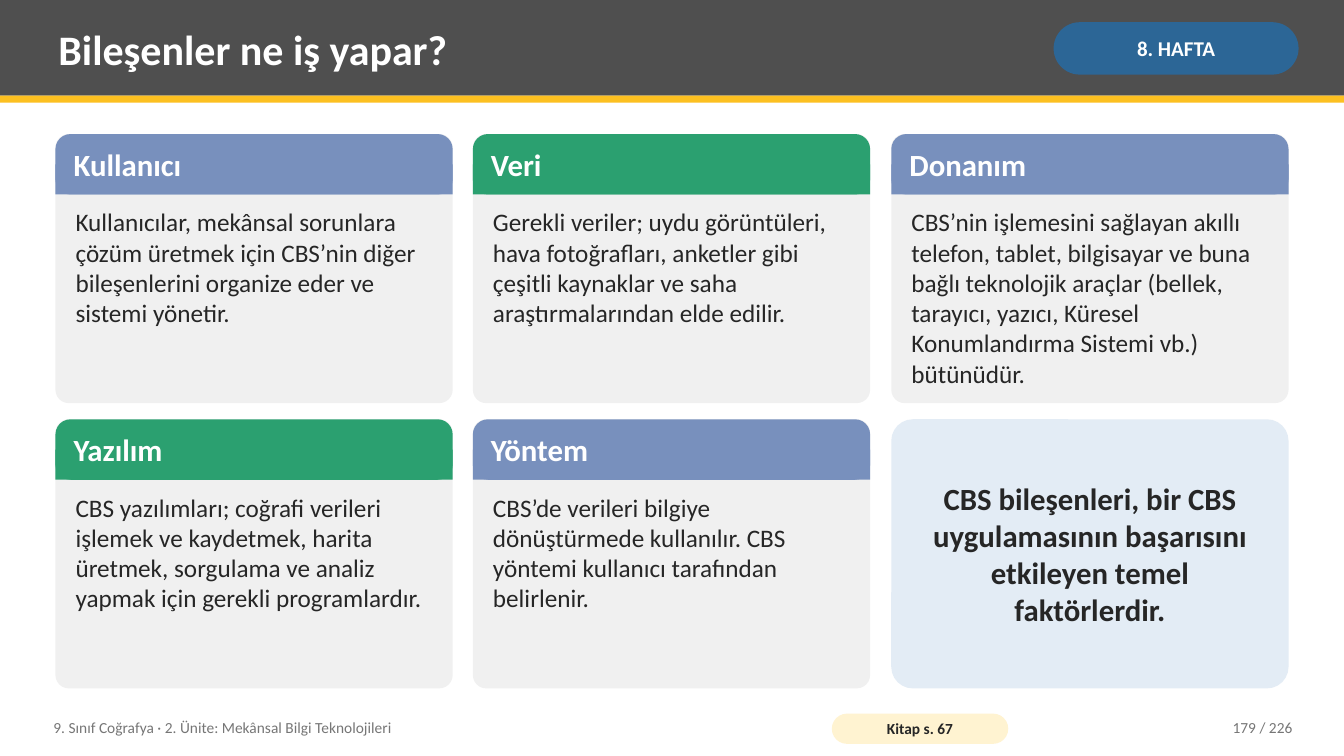
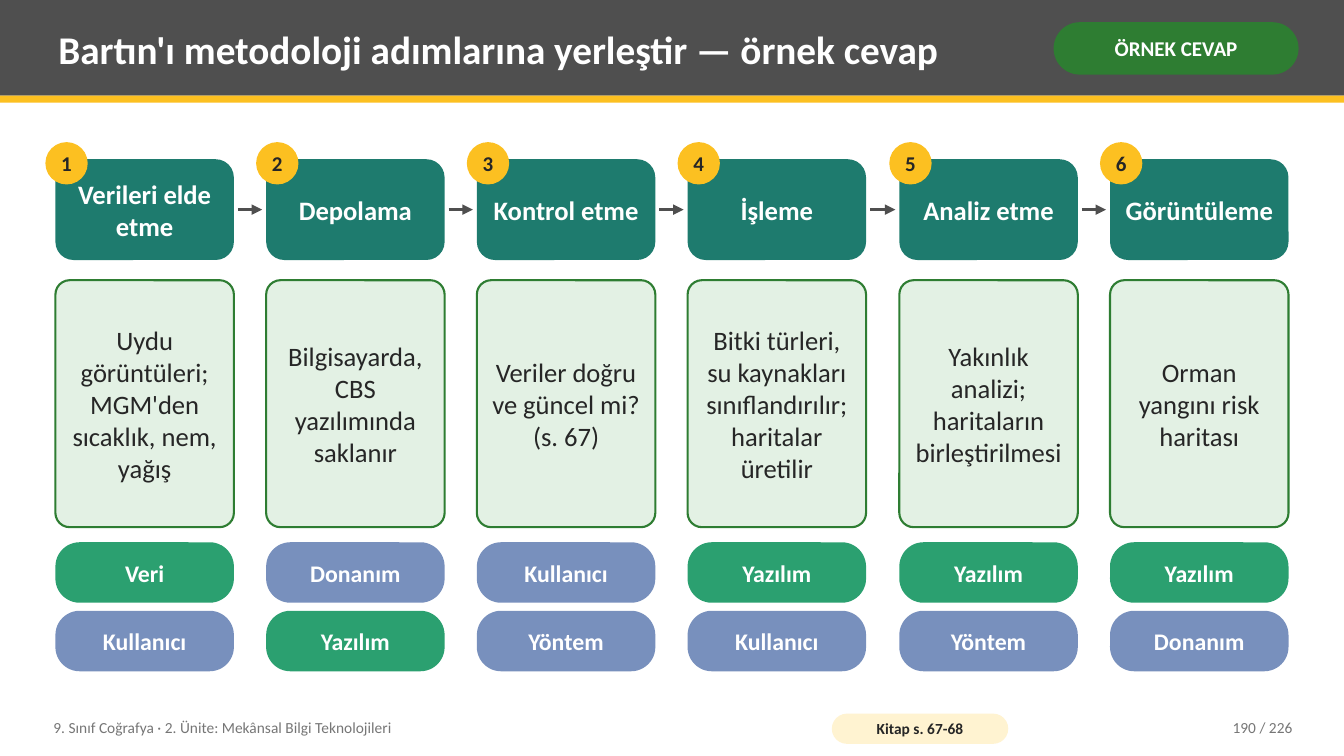
from lxml import etree
from pptx import Presentation
from pptx import util as u
from pptx.dml.color import RGBColor
from pptx.enum import shapes, text
from pptx.oxml import ns

# One px is a hundredth of an inch
PX = 9144
WIDTH, HEIGHT = 1333, 750
LEFT, CONTENT_WIDTH = 55, 1223

WHITE, INK, GREY = "FFFFFF", "262626", "767676"
DARK, YELLOW, CREAM = "4F4F4F", "FCC021", "FFF3D1"
BLUE, GREEN, NAVY = "7890BD", "2BA070", "2C6696"
TEAL, FOREST, MINT = "1E7B6E", "2E7D32", "E3F1E4"
PANEL, PALE_BLUE = "F0F0F0", "E3ECF5"

RECT = shapes.MSO_SHAPE.RECTANGLE
ROUND = shapes.MSO_SHAPE.ROUNDED_RECTANGLE
OVAL = shapes.MSO_SHAPE.OVAL
ALIGN, ANCHOR = text.PP_ALIGN, text.MSO_ANCHOR


def color(value):
    return RGBColor.from_string(value)


def columns(count, gap):
    """Left edges and common width of equal columns across the content area."""
    width = (CONTENT_WIDTH - gap * (count - 1)) / count
    return [round(LEFT + i * (width + gap)) for i in range(count)], round(width)


class Deck:
    font = "Calibri"
    footer = "9. Sınıf Coğrafya · 2. Ünite: Mekânsal Bilgi Teknolojileri"
    total = 226

    def __init__(self):
        self.presentation = Presentation()
        self.presentation.slide_width = WIDTH * PX
        self.presentation.slide_height = HEIGHT * PX
        self.slide = None

    def fill_text(self, shape, words, size, ink, bold=False, align=ALIGN.LEFT,
                  anchor=ANCHOR.MIDDLE, insets=(8, 4), wrap=True):
        frame = shape.text_frame
        across, down = (inset * PX for inset in insets)
        frame_format = {
            "margin_left": across, "margin_right": across,
            "margin_top": down, "margin_bottom": down,
            "word_wrap": wrap, "vertical_anchor": anchor,
            "auto_size": text.MSO_AUTO_SIZE.NONE,
        }
        for name, value in frame_format.items():
            setattr(frame, name, value)
        paragraph = frame.paragraphs[0]
        paragraph.alignment = align
        run = paragraph.add_run()
        run.text = words
        font_format = {"name": self.font, "size": u.Pt(size), "bold": bold}
        for name, value in font_format.items():
            setattr(run.font, name, value)
        run.font.color.rgb = color(ink)

    def box(self, kind, place, fill, radius=None, line=None):
        shape = self.slide.shapes.add_shape(kind, *(n * PX for n in place))
        shape.shadow.inherit = False
        shape.fill.solid()
        shape.fill.fore_color.rgb = color(fill)
        if radius is not None:
            shape.adjustments[0] = radius
        if line:
            shape.line.color.rgb = color(line)
            shape.line.width = u.Pt(1.5)
        else:
            shape.line.fill.background()
        return shape

    def label(self, kind, place, fill, words, size, ink=WHITE, bold=True,
              radius=None, line=None, insets=(5, 8), wrap=True):
        shape = self.box(kind, place, fill, radius, line)
        self.fill_text(shape, words, size, ink, bold, ALIGN.CENTER,
                       insets=insets, wrap=wrap)

    def textbox(self, place, words, size, ink, **style):
        shape = self.slide.shapes.add_textbox(*(n * PX for n in place))
        self.fill_text(shape, words, size, ink, **style)

    def arrow(self, start, end, y):
        connector = self.slide.shapes.add_connector(
            shapes.MSO_CONNECTOR.STRAIGHT, start * PX, y * PX, end * PX, y * PX)
        connector.line.color.rgb = color(DARK)
        connector.line.width = u.Pt(2.5)
        properties = connector.element.spPr
        line = properties.find(ns.qn("a:ln"))
        etree.SubElement(line, ns.qn("a:tailEnd"), type="triangle")
        etree.SubElement(properties, ns.qn("a:effectLst"))

    def title(self, words, size):
        title = self.slide.shapes.title
        place = {"left": 50, "top": 7, "width": 975, "height": 82}
        for name, value in place.items():
            setattr(title, name, value * PX)
        self.fill_text(title, words, size, WHITE, bold=True)
        # Bring the title in front of the band
        title.element.getparent().append(title.element)

    def new_slide(self, title, title_size, tag, tag_fill, book_pages, number):
        layout = self.presentation.slide_layouts[5]
        self.slide = self.presentation.slides.add_slide(layout)
        # Header
        self.box(RECT, (0, 0, WIDTH, 95), DARK)
        self.box(RECT, (0, 95, WIDTH, 7), YELLOW)
        self.title(title, title_size)
        self.label(ROUND, (1045, 22, 243, 52), tag_fill, tag, 15,
                   radius=0.5, insets=(5, 2))
        # Footer
        self.textbox((45, 704, 760, 36), self.footer, 11, GREY)
        self.label(ROUND, (825, 708, 175, 30), CREAM, f"Kitap s. {book_pages}",
                   11, INK, radius=0.5, insets=(4, 0))
        self.textbox((1130, 704, 160, 36), f"{number} / {self.total}", 11, GREY,
                     align=ALIGN.RIGHT)

    def card(self, left, top, width, height, fill, heading, body):
        self.box(ROUND, (left, top, width, height), PANEL, 0.05)
        self.box(ROUND, (left, top, width, 60), fill, 0.25)
        self.box(RECT, (left, top + 30, width, 30), fill)
        self.textbox((left + 10, top, width - 20, 60), heading, 22, WHITE,
                     bold=True)
        self.textbox((left + 12, top + 68, width - 24, height - 76), body, 18, INK,
                     anchor=ANCHOR.TOP)

    def step(self, left, width, number, heading, answer, components):
        self.label(ROUND, (left, 158, width, 100), TEAL, heading, 19, radius=0.18)
        self.label(OVAL, (left - 10, 141, 42, 42), YELLOW, str(number), 15, INK,
                   insets=(0, 0), wrap=False)
        self.label(ROUND, (left, 278, width, 245), MINT, answer, 19, INK,
                   bold=False, radius=0.08, line=FOREST, insets=(8, 8))
        for row, component in enumerate(components):
            self.label(ROUND, (left, 538 + row * 68, width, 60),
                       COMPONENT_FILLS[component], component, 17,
                       radius=0.4, insets=(3, 8))


COMPONENT_FILLS = {"Kullanıcı": BLUE, "Veri": GREEN, "Donanım": BLUE,
                   "Yazılım": GREEN, "Yöntem": BLUE}

COMPONENT_ROLES = {
    "Kullanıcı": "Kullanıcılar, mekânsal sorunlara çözüm üretmek için CBS’nin "
                 "diğer bileşenlerini organize eder ve sistemi yönetir.",
    "Veri": "Gerekli veriler; uydu görüntüleri, hava fotoğrafları, anketler gibi "
            "çeşitli kaynaklar ve saha araştırmalarından elde edilir.",
    "Donanım": "CBS’nin işlemesini sağlayan akıllı telefon, tablet, bilgisayar ve "
               "buna bağlı teknolojik araçlar (bellek, tarayıcı, yazıcı, Küresel "
               "Konumlandırma Sistemi vb.) bütünüdür.",
    "Yazılım": "CBS yazılımları; coğrafi verileri işlemek ve kaydetmek, harita "
               "üretmek, sorgulama ve analiz yapmak için gerekli programlardır.",
    "Yöntem": "CBS’de verileri bilgiye dönüştürmede kullanılır. CBS yöntemi "
              "kullanıcı tarafından belirlenir.",
}

STEPS = [
    ("Verileri elde etme", "Uydu görüntüleri; MGM'den sıcaklık, nem, yağış",
     ("Veri", "Kullanıcı")),
    ("Depolama", "Bilgisayarda, CBS yazılımında saklanır", ("Donanım", "Yazılım")),
    ("Kontrol etme", "Veriler doğru ve güncel mi? (s. 67)",
     ("Kullanıcı", "Yöntem")),
    ("İşleme", "Bitki türleri, su kaynakları sınıflandırılır; haritalar üretilir",
     ("Yazılım", "Kullanıcı")),
    ("Analiz etme", "Yakınlık analizi; haritaların birleştirilmesi",
     ("Yazılım", "Yöntem")),
    ("Görüntüleme", "Orman yangını risk haritası", ("Yazılım", "Donanım")),
]


def components_slide(deck):
    deck.new_slide("Bileşenler ne iş yapar?", 30, "8. HAFTA", NAVY, "67", 179)
    lefts, width = columns(3, 20)
    height = 267
    places = [(left, top, width, height) for top in (133, 416) for left in lefts]
    for place, (heading, body) in zip(places, COMPONENT_ROLES.items()):
        deck.card(*place, COMPONENT_FILLS[heading], heading, body)
    # The last cell holds the conclusion
    deck.label(ROUND, places[-1], PALE_BLUE,
               "CBS bileşenleri, bir CBS uygulamasının başarısını etkileyen "
               "temel faktörlerdir.", 22, INK, radius=0.08, insets=(25, 8))


def steps_slide(deck):
    deck.new_slide("Bartın'ı metodoloji adımlarına yerleştir — örnek cevap", 28,
                   "ÖRNEK CEVAP", FOREST, "67-68", 190)
    lefts, width = columns(6, 32)
    for number, (left, step) in enumerate(zip(lefts, STEPS), 1):
        deck.step(left, width, number, *step)
    for left, following in zip(lefts, lefts[1:]):
        deck.arrow(left + width + 4, following - 4, 208)


def main():
    deck = Deck()
    components_slide(deck)
    steps_slide(deck)
    deck.presentation.save("out.pptx")


if __name__ == "__main__":
    main()
